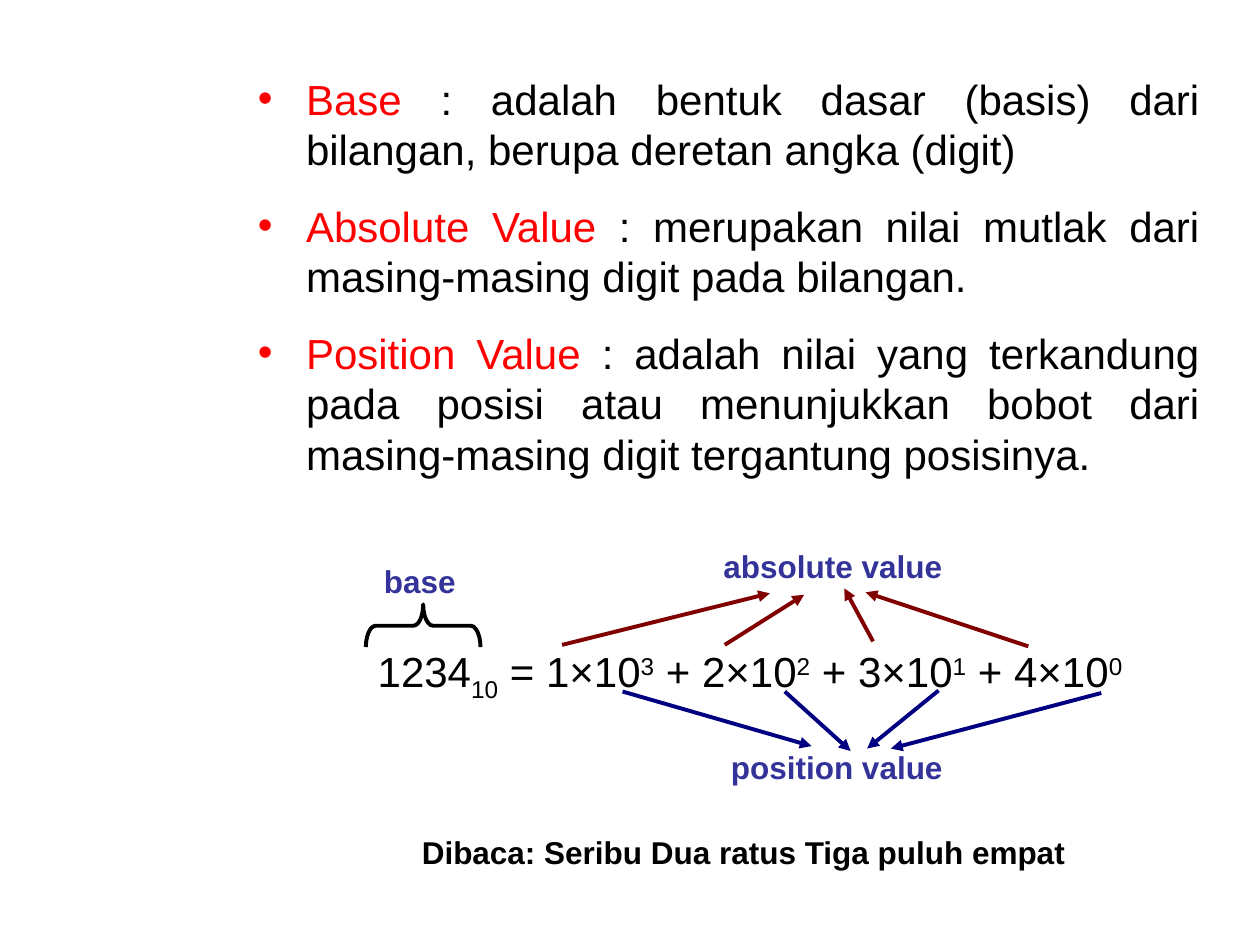
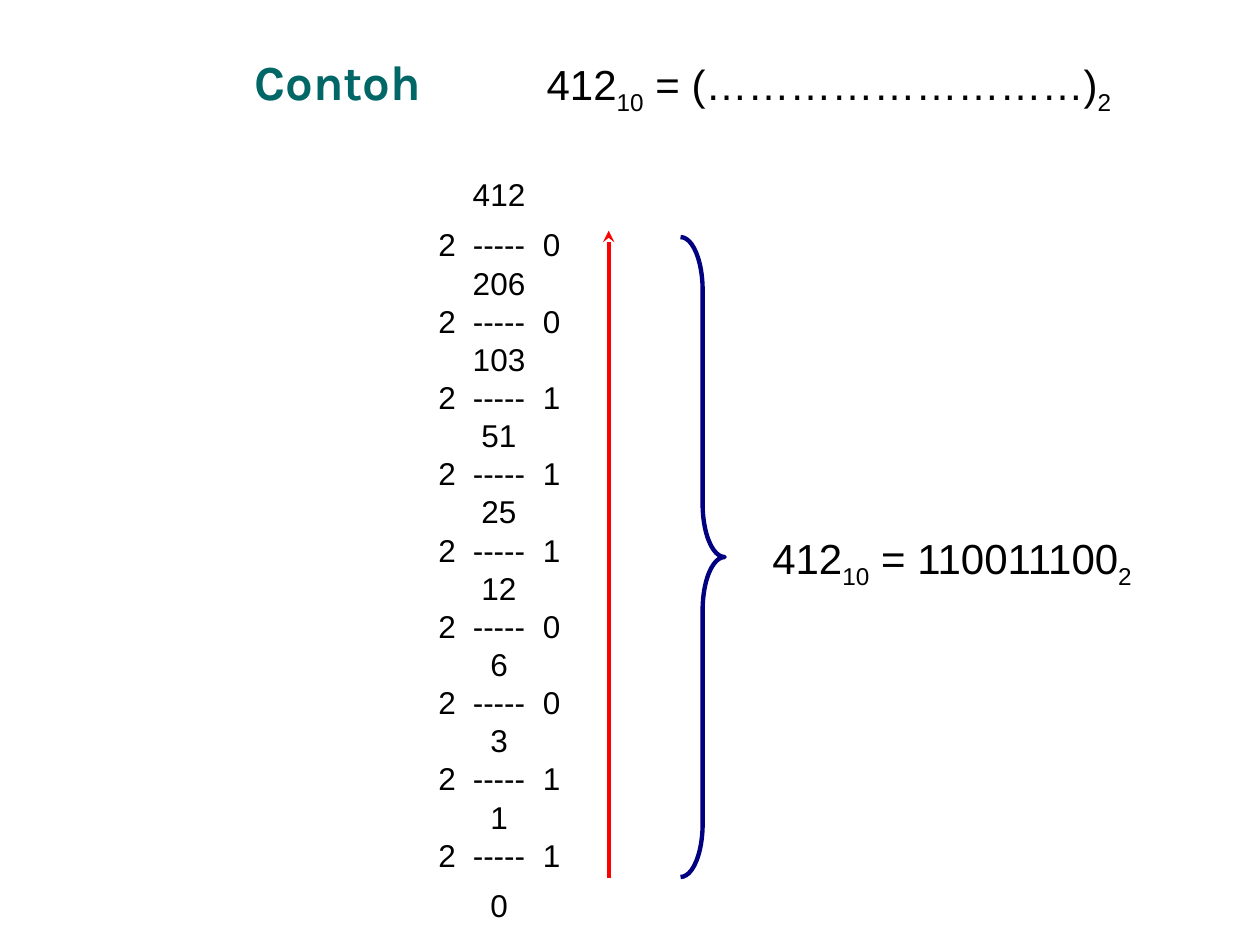
from dataclasses import dataclass

from lxml.etree import SubElement
from pptx import Presentation
from pptx.dml.color import RGBColor
from pptx.enum.shapes import MSO_CONNECTOR, MSO_SHAPE
from pptx.enum.text import MSO_ANCHOR, PP_ALIGN
from pptx.oxml.ns import qn
from pptx.slide import Slide
from pptx.util import Cm, Pt

BLACK = RGBColor(0x00, 0x00, 0x00)
RED = RGBColor(0xFF, 0x00, 0x00)
INDIGO = RGBColor(0x33, 0x33, 0x99)
MAROON = RGBColor(0x80, 0x00, 0x00)
NAVY = RGBColor(0x00, 0x00, 0x80)
TEAL = RGBColor(0x00, 0x66, 0x66)

SUBSCRIPT = -25
SUPERSCRIPT = 30
HANGING_INDENT = 0.97
LADDER_TABS = (1.22, 2.28)


@dataclass
class Box:
    left: float
    top: float
    width: float
    height: float

    def lengths(self) -> list[Cm]:
        return [Cm(value) for value in (self.left, self.top, self.width, self.height)]


@dataclass
class Span:
    text: str
    baseline: int = 0
    color: RGBColor | None = None


@dataclass
class Arrow:
    start_x: float
    start_y: float
    end_x: float
    end_y: float
    color: RGBColor
    head: str = "triangle"


@dataclass
class Brace:
    box: Box
    kind: MSO_SHAPE
    color: RGBColor
    weight: float
    curve: float
    rotation: float = 0


ARROWS = [
    Arrow(11.33, 13.0, 15.52, 11.96, MAROON),
    Arrow(14.61, 13.0, 16.21, 11.99, MAROON),
    Arrow(17.6, 12.93, 17.02, 11.86, MAROON),
    Arrow(20.73, 13.03, 17.45, 11.94, MAROON),
    Arrow(12.55, 13.94, 16.36, 15.04, NAVY),
    Arrow(15.82, 13.94, 17.15, 15.14, NAVY),
    Arrow(18.92, 13.92, 17.48, 15.09, NAVY),
    Arrow(22.2, 13.97, 17.96, 15.09, NAVY),
]

DEFINITIONS = {
    "Base": "adalah bentuk dasar (basis) dari bilangan, berupa deretan angka (digit)",
    "Absolute Value": "merupakan nilai mutlak dari masing-masing digit pada bilangan.",
    "Position Value": "adalah nilai yang terkandung pada posisi atau menunjukkan bobot "
    "dari masing-masing digit tergantung posisinya.",
}

LABELS = [
    ("base", Box(7.49, 11.35, 2.11, 0.86), PP_ALIGN.LEFT, INDIGO),
    ("absolute value", Box(14.07, 11.05, 5.44, 0.86), PP_ALIGN.CENTER, INDIGO),
    ("position value", Box(14.15, 15.11, 5.44, 0.86), PP_ALIGN.CENTER, INDIGO),
    ("Dibaca: Seribu Dua ratus Tiga puluh empat", Box(5.44, 16.81, 19.1, 0.86),
     PP_ALIGN.CENTER, BLACK),
]


def add_text(
    slide: Slide,
    box: Box,
    paragraphs: list[list[Span]],
    *,
    size: float = 24,
    font: str = "Arial",
    color: RGBColor = BLACK,
    bold: bool = False,
    align: PP_ALIGN = PP_ALIGN.LEFT,
    anchor: MSO_ANCHOR = MSO_ANCHOR.TOP,
    line_spacing: float = 0.8,
    gaps: list[float] | None = None,
    bullet_color: RGBColor | None = None,
    tabs: tuple[float, ...] = (),
) -> None:
    frame = slide.shapes.add_textbox(*box.lengths()).text_frame
    frame.word_wrap = True
    frame.vertical_anchor = anchor
    for index, spans in enumerate(paragraphs):
        paragraph = frame.add_paragraph() if index else frame.paragraphs[0]
        paragraph.alignment = align
        paragraph.line_spacing = line_spacing
        if gaps and index:
            paragraph.space_before = Pt(gaps[index])
        properties = paragraph._p.get_or_add_pPr()
        if bullet_color is not None:
            properties.set("marL", str(Cm(HANGING_INDENT)))
            properties.set("indent", str(-Cm(HANGING_INDENT)))
            holder = SubElement(properties, qn("a:buClr"))
            SubElement(holder, qn("a:srgbClr"), val=str(bullet_color))
            SubElement(properties, qn("a:buFont"), typeface=font)
            SubElement(properties, qn("a:buChar"), char="•")
        if tabs:
            tab_list = SubElement(properties, qn("a:tabLst"))
            for position in tabs:
                SubElement(tab_list, qn("a:tab"), pos=str(Cm(position)), algn="ctr")
        for span in spans:
            run = paragraph.add_run()
            run.text = span.text
            run.font.size = Pt(size)
            run.font.name = font
            run.font.bold = bold
            run.font.color.rgb = color if span.color is None else span.color
            if span.baseline:
                run._r.get_or_add_rPr().set("baseline", str(span.baseline * 1000))


def add_arrow(slide: Slide, arrow: Arrow) -> None:
    ends = (arrow.start_x, arrow.start_y, arrow.end_x, arrow.end_y)
    connector = slide.shapes.add_connector(
        MSO_CONNECTOR.STRAIGHT, *[Cm(value) for value in ends]
    )
    connector.line.color.rgb = arrow.color
    connector.line.width = Pt(2.25)
    SubElement(connector.line._get_or_add_ln(), qn("a:tailEnd"), type=arrow.head)
    SubElement(connector._element.spPr, qn("a:effectLst"))


def add_brace(slide: Slide, brace: Brace) -> None:
    shape = slide.shapes.add_shape(brace.kind, *brace.box.lengths())
    shape.shadow.inherit = False
    shape.fill.background()
    shape.line.color.rgb = brace.color
    shape.line.width = Pt(brace.weight)
    shape.adjustments[0] = brace.curve
    shape.rotation = brace.rotation


def expansion(number: str) -> list[Span]:
    spans = [Span(number), Span("10", SUBSCRIPT)]
    for index, digit in enumerate(number):
        sign = "+" if index else "="
        spans.append(Span(f" {sign} {digit}×10"))
        spans.append(Span(str(len(number) - 1 - index), SUPERSCRIPT))
    return spans


def binary_equation(number: int, answer: str) -> list[Span]:
    return [
        Span(str(number)),
        Span("10", SUBSCRIPT),
        Span(f" = {answer}"),
        Span("2", SUBSCRIPT),
    ]


def division_ladder(number: int) -> list[list[Span]]:
    rows = [[Span(f"\t{number}")]]
    while number:
        number, remainder = divmod(number, 2)
        rows.append([Span(f"2\t-----\t{remainder}")])
        rows.append([Span(f"\t{number}")])
    return rows


def build_definitions(slide: Slide) -> None:
    add_text(
        slide,
        Box(4.95, 1.35, 19.48, 8.92),
        [[Span(term, color=RED), Span(f" : {meaning}")]
         for term, meaning in DEFINITIONS.items()],
        align=PP_ALIGN.JUSTIFY,
        line_spacing=1.0,
        gaps=[15] * len(DEFINITIONS),
        bullet_color=RED,
    )
    add_text(slide, Box(5.66, 13.0, 18.92, 1.19), [expansion("1234")],
             align=PP_ALIGN.CENTER)
    add_brace(slide, Brace(Box(8.1, 11.46, 0.86, 2.31), MSO_SHAPE.LEFT_BRACE,
                           BLACK, 2.25, 0.23, 90))
    for text, box, align, color in LABELS:
        add_text(slide, box, [[Span(text)]], size=18, bold=True, align=align, color=color)
    for arrow in ARROWS:
        add_arrow(slide, arrow)


def build_example(slide: Slide) -> None:
    number = 412
    add_text(slide, Box(4.88, 0.84, 19.48, 1.6), [[Span("Contoh")]], size=28,
             font="Karla", color=TEAL, bold=True, anchor=MSO_ANCHOR.MIDDLE,
             line_spacing=1.0)
    add_text(slide, Box(10.77, 1.17, 12.19, 1.19),
             [binary_equation(number, "(………………………)")], align=PP_ALIGN.JUSTIFY)
    rows = division_ladder(number)
    gaps = [0, 11.25] + [4.5] * (len(rows) - 3) + [11.25]
    add_text(slide, Box(8.59, 3.56, 3.2, 15.19), rows, size=18, gaps=gaps,
             tabs=LADDER_TABS)
    add_arrow(slide, Arrow(12.27, 17.7, 12.27, 4.65, RED, "stealth"))
    add_text(slide, Box(15.32, 10.72, 8.23, 1.19),
             [binary_equation(number, f"{number:b}")], align=PP_ALIGN.JUSTIFY)
    add_brace(slide, Brace(Box(13.72, 4.78, 0.89, 12.9), MSO_SHAPE.RIGHT_BRACE,
                           NAVY, 2.5, 1.2))


def main() -> None:
    presentation = Presentation()
    presentation.slide_width = Cm(25.4)
    presentation.slide_height = Cm(19.05)
    for build in (build_definitions, build_example):
        build(presentation.slides.add_slide(presentation.slide_layouts[6]))
    presentation.save("out.pptx")


if __name__ == "__main__":
    main()
